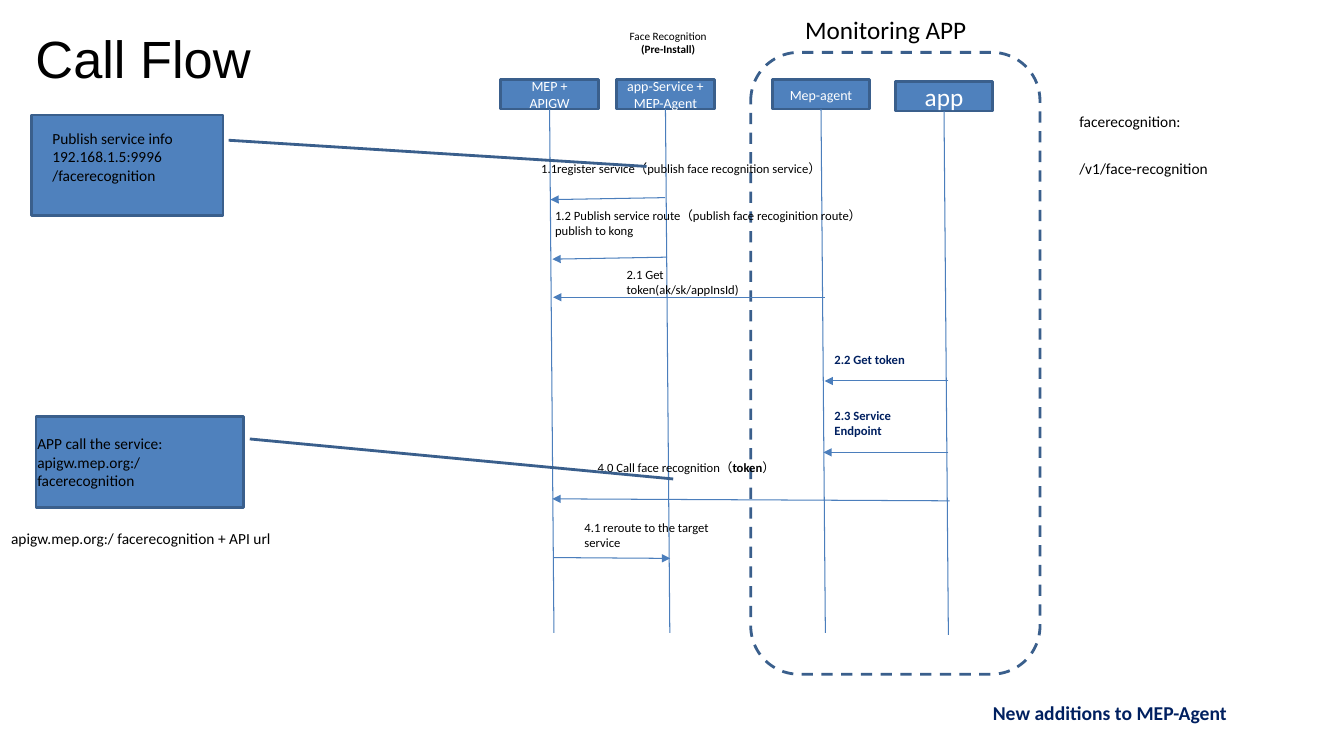
from dataclasses import dataclass

from lxml.etree import SubElement
from pptx import Presentation
from pptx.dml.color import RGBColor
from pptx.enum.dml import MSO_LINE
from pptx.enum.shapes import MSO_CONNECTOR, MSO_SHAPE
from pptx.enum.text import MSO_ANCHOR, MSO_AUTO_SIZE, PP_ALIGN
from pptx.oxml.ns import qn
from pptx.shapes.autoshape import Shape
from pptx.slide import Slide
from pptx.text.text import TextFrame
from pptx.util import Cm, Pt

COLORS = {
    "fill": "4F81BD",
    "border": "3A5F8C",
    "line": "4B7EBC",
    "text": "000000",
    "light": "FFFFFF",
    "navy": "002060",
}
BOX_WIDTH, BOX_HEIGHT = 2.46, 0.74
LIFELINE_LENGTH, LIFELINE_DRIFT = 13.2, 0.11


@dataclass
class Participant:
    name: str
    left: float
    top: float = 2.01
    size: float = 10


@dataclass
class Label:
    text: str
    left: float
    top: float
    width: float
    height: float
    size: float = 9
    color: str = "text"
    emphasis: str = ""
    align: PP_ALIGN = PP_ALIGN.LEFT
    gap: float = 0


@dataclass
class Message:
    start: tuple[float, float]
    end: tuple[float, float]
    label: Label


@dataclass
class Callout:
    bounds: tuple[float, float, float, float]
    adjustments: tuple[float, float, float, float]
    label: Label


PARTICIPANTS = [
    Participant("MEP + APIGW", 12.62),
    Participant("app-Service + MEP-Agent", 15.54),
    Participant("Mep-agent", 19.46),
    Participant("app", 22.56, 2.06, 18),
]

MESSAGES = [
    Message((16.76, 4.98), (13.87, 5.03),
            Label("1.1register service（publish face recognition service）", 13.39, 3.94, 8.36, 1.02)),
    Message((16.81, 6.48), (13.92, 6.53),
            Label("1.2 Publish service route（publish face recoginition route）\npublish to kong",
                  13.74, 5.11, 8.59, 1.4)),
    Message((20.78, 7.49), (13.94, 7.49),
            Label("2.1 Get token(ak/sk/appInsId)", 15.54, 6.6, 4.04, 1.02)),
    Message((23.9, 9.6), (20.78, 9.6),
            Label("2.2 Get token", 20.78, 8.74, 3, 0.64, color="navy", emphasis="2.2 Get token")),
    Message((23.9, 11.4), (20.75, 11.4),
            Label("2.3 Service Endpoint", 20.78, 10.16, 3, 1.02,
                  color="navy", emphasis="2.3 Service Endpoint")),
    Message((23.93, 12.62), (13.92, 12.57),
            Label("4.0 Call face recognition（token）", 14.81, 11.46, 5.72, 1.02, emphasis="token")),
    Message((13.94, 14.05), (16.89, 14.07),
            Label("4.1 reroute to the target service", 14.48, 12.98, 4.34, 1.02)),
]

CALLOUTS = [
    Callout((0.79, 2.9, 4.83, 2.54), (0.25, 1.03, 0.51, 3.21),
            Label("Publish service info\n192.168.1.5:9996\n/facerecognition",
                  1.07, 3.12, 4.06, 2.11, 11)),
    Callout((0.91, 10.49, 5.23, 2.29), (0.25, 1.03, 0.69, 3.07),
            Label("APP call the service:\napigw.mep.org:/ facerecognition",
                  0.69, 10.82, 5.3, 1.65, 11)),
]

NOTES = [
    Label("Monitoring APP", 20.04, 0.23, 6.38, 1.02, 18),
    Label("Face Recognition\n(Pre-Install)", 15.42, 0.61, 2.84, 1.27, 8,
          emphasis="(Pre-Install)", align=PP_ALIGN.CENTER),
    Label("facerecognition:\n/v1/face-recognition", 26.95, 2.69, 6.78, 1.9, 11, gap=21),
    Label("apigw.mep.org:/ facerecognition + API url", 0.03, 13.21, 8.71, 1.17, 11),
    Label("New additions to MEP-Agent", 24.77, 17.55, 8.46, 0.84, 14, "navy",
          "New additions to MEP-Agent"),
]


def rgb(name: str) -> RGBColor:
    return RGBColor.from_string(COLORS[name])


def write_text(frame: TextFrame, text: str, size: float, color: str, align: PP_ALIGN,
               emphasis: str = "", gap: float = 0, font: str = "Calibri") -> None:
    frame.word_wrap = True
    frame.auto_size = MSO_AUTO_SIZE.NONE
    frame.text = text
    for index, paragraph in enumerate(frame.paragraphs):
        paragraph.alignment = align
        if index and gap:
            paragraph.space_before = Pt(gap)
        # Split a line around its bold part
        if emphasis and emphasis in paragraph.text:
            before, bold, after = paragraph.text.partition(emphasis)
            paragraph.text = before
            for part in (bold, after):
                if part:
                    paragraph.add_run().text = part
        for run in paragraph.runs:
            run.font.name = font
            run.font.size = Pt(size)
            run.font.bold = run.text == emphasis
            run.font.color.rgb = rgb(color)


def add_label(slide: Slide, label: Label) -> None:
    box = slide.shapes.add_textbox(Cm(label.left), Cm(label.top), Cm(label.width), Cm(label.height))
    write_text(box.text_frame, label.text, label.size, label.color, label.align,
               label.emphasis, label.gap)


def add_box(slide: Slide, kind: MSO_SHAPE, bounds: tuple[float, float, float, float],
            filled: bool = True) -> Shape:
    shape = slide.shapes.add_shape(kind, *map(Cm, bounds))
    shape.shadow.inherit = False
    if filled:
        shape.fill.solid()
        shape.fill.fore_color.rgb = rgb("fill")
    else:
        shape.fill.background()
    shape.line.color.rgb = rgb("border")
    shape.line.width = Pt(2)
    return shape


def add_line(slide: Slide, start: tuple[float, float], end: tuple[float, float],
             arrow: bool = False) -> None:
    connector = slide.shapes.add_connector(MSO_CONNECTOR.STRAIGHT, *map(Cm, start + end))
    connector.line.color.rgb = rgb("line")
    connector.line.width = Pt(0.75)
    if arrow:
        SubElement(connector.line._get_or_add_ln(), qn("a:tailEnd"), type="triangle")
    SubElement(connector._element.spPr, qn("a:effectLst"))


def add_participant(slide: Slide, participant: Participant) -> None:
    bounds = (participant.left, participant.top, BOX_WIDTH, BOX_HEIGHT)
    box = add_box(slide, MSO_SHAPE.RECTANGLE, bounds)
    box.text_frame.vertical_anchor = MSO_ANCHOR.MIDDLE
    write_text(box.text_frame, participant.name, participant.size, "light", PP_ALIGN.CENTER)
    center, bottom = participant.left + BOX_WIDTH / 2, participant.top + BOX_HEIGHT
    add_line(slide, (center, bottom), (center + LIFELINE_DRIFT, bottom + LIFELINE_LENGTH))


def add_callout(slide: Slide, callout: Callout) -> None:
    shape = add_box(slide, MSO_SHAPE.LINE_CALLOUT_1, callout.bounds)
    for index, value in enumerate(callout.adjustments):
        shape.adjustments[index] = value
    add_label(slide, callout.label)


def main() -> None:
    presentation = Presentation()
    presentation.slide_width, presentation.slide_height = Cm(33.87), Cm(19.05)
    slide = presentation.slides.add_slide(presentation.slide_layouts[5])

    # Title
    title = slide.shapes.title
    title.left, title.top, title.width, title.height = Cm(0.64), Cm(0.53), Cm(10.06), Cm(1.83)
    title.text_frame.vertical_anchor = MSO_ANCHOR.MIDDLE
    write_text(title.text_frame, "Call Flow", 37.4, "text", PP_ALIGN.LEFT, font="Arial")

    # Participants and their lifelines
    for participant in PARTICIPANTS:
        add_participant(slide, participant)

    # Dashed frame of the monitoring app
    frame = add_box(slide, MSO_SHAPE.ROUNDED_RECTANGLE, (18.92, 1.32, 7.29, 15.67), filled=False)
    frame.line.dash_style = MSO_LINE.DASH

    # Messages, callouts and notes
    for message in MESSAGES:
        add_line(slide, message.start, message.end, arrow=True)
        add_label(slide, message.label)
    for callout in CALLOUTS:
        add_callout(slide, callout)
    for note in NOTES:
        add_label(slide, note)

    presentation.save("out.pptx")


if __name__ == "__main__":
    main()
